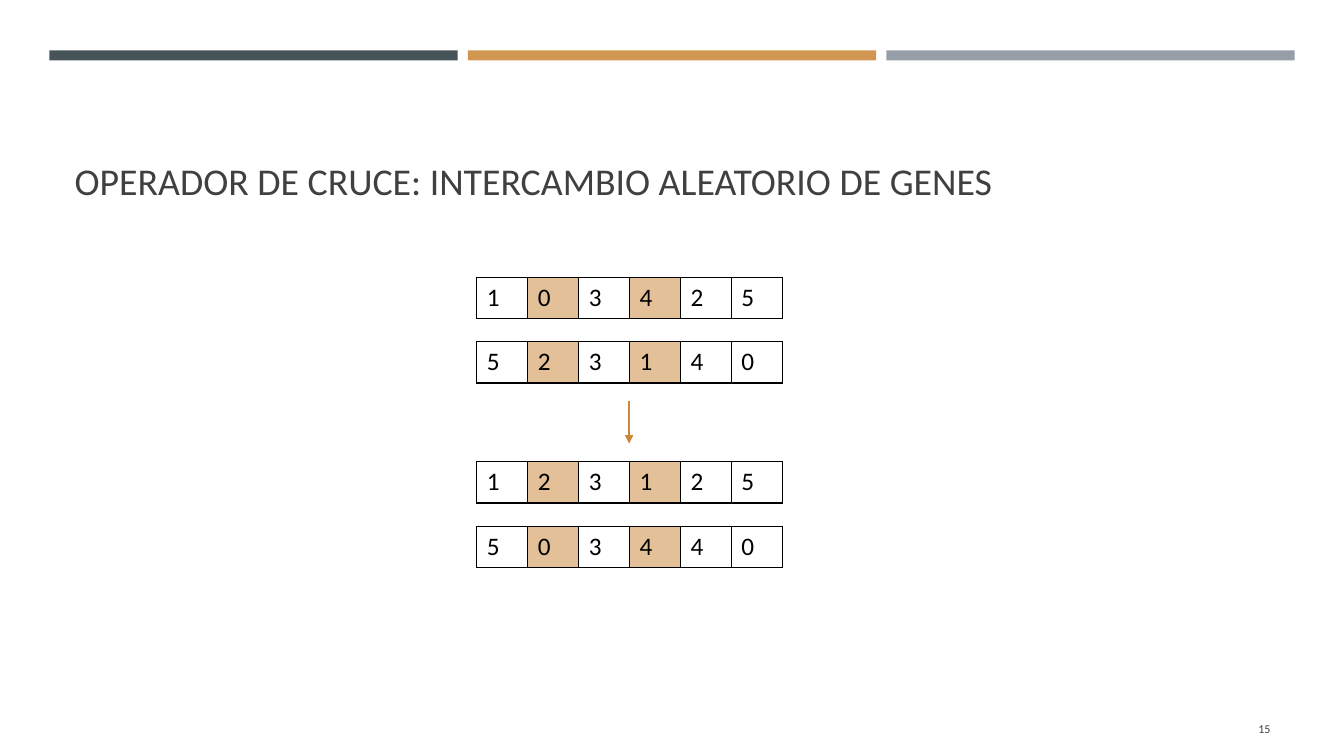
from lxml import etree
from pptx import Presentation
from pptx import util as u
from pptx.dml.color import RGBColor
from pptx.enum import shapes, text
from pptx.oxml import ns

HUES = {"slate": "465359", "amber": "D19651", "grey": "969FA7", "ink": "404040",
        "black": "000000", "gene": "E3C097", "arrow": "CB883A"}
FONT = "Calibri"


class Deck:
    """Holds the style and the current slide, and draws each kind of element."""

    def __init__(self):
        self.show = Presentation()
        self.show.slide_width = u.Inches(13.33)
        self.show.slide_height = u.Inches(7.5)
        self.slide = self.show.slides.add_slide(self.show.slide_layouts[5])

    def hue(self, name):
        return RGBColor.from_string(HUES[name])

    def box(self, *sides):
        return [u.Inches(side) for side in sides]

    def label(self, frame, words, size, hue, align, anchor):
        frame.word_wrap = True
        frame.auto_size = text.MSO_AUTO_SIZE.NONE
        frame.vertical_anchor = anchor
        line = frame.paragraphs[0]
        line.alignment = align
        self.style(line, words, size, hue)
        return line

    def style(self, line, words, size, hue):
        line.text = words
        line.font.name = FONT
        line.font.size = u.Pt(size)
        line.font.color.rgb = self.hue(hue)

    def bar(self, left, hue):
        bar = self.slide.shapes.add_shape(
            shapes.MSO_SHAPE.RECTANGLE, *self.box(left, 0.5, 4.05, 0.1))
        bar.shadow.inherit = False
        bar.fill.solid()
        bar.fill.fore_color.rgb = self.hue(hue)
        bar.line.fill.background()

    def title(self, words):
        title = self.slide.shapes.title
        title.left, title.top, title.width, title.height = self.box(0.64, 0.77, 12.06, 1.3)
        line = self.label(title.text_frame, words, 27, "ink",
                          text.PP_ALIGN.LEFT, text.MSO_ANCHOR.BOTTOM)
        line.line_spacing = 0.9

    def number(self, words):
        note = self.slide.shapes.add_textbox(*self.box(11.55, 7.03, 1.15, 0.4))
        self.label(note.text_frame, words, 8.5, "ink",
                   text.PP_ALIGN.RIGHT, text.MSO_ANCHOR.MIDDLE)

    def border(self, cell):
        props = cell._tc.get_or_add_tcPr()
        for side in ("L", "R", "T", "B"):
            edge = etree.SubElement(props, ns.qn("a:ln" + side), w=str(u.Pt(1)))
            fill = etree.SubElement(edge, ns.qn("a:solidFill"))
            etree.SubElement(fill, ns.qn("a:srgbClr"), val=HUES["black"])

    def genes(self, top, codes, picks):
        table = self.slide.shapes.add_table(
            1, len(codes), *self.box(4.73, top, 3.03, 0.41)).table
        table.first_row = table.horz_banding = False
        for spot, code in enumerate(codes):
            cell = table.cell(0, spot)
            self.border(cell)
            if spot in picks:
                cell.fill.solid()
                cell.fill.fore_color.rgb = self.hue("gene")
            else:
                cell.fill.background()
            self.style(cell.text_frame.paragraphs[0], code, 18, "black")

    def arrow(self, left, top, end):
        link = self.slide.shapes.add_connector(
            shapes.MSO_CONNECTOR.STRAIGHT, *self.box(left, top, left, end))
        link.line.color.rgb = self.hue("arrow")
        link.line.width = u.Pt(1)
        props = link._element.spPr
        etree.SubElement(props.find(ns.qn("a:ln")), ns.qn("a:tailEnd"), type="triangle")
        etree.SubElement(props, ns.qn("a:effectLst"))


def swap(base, other, picks):
    return "".join(other[spot] if spot in picks else code
                   for spot, code in enumerate(base))


def main():
    deck = Deck()
    for step, hue in enumerate(("slate", "amber", "grey")):
        deck.bar(0.49 + 4.15 * step, hue)
    deck.title("OPERADOR DE CRUCE: INTERCAMBIO ALEATORIO DE GENES")
    picks = (1, 3)
    first, second = "103425", "523140"
    rows = (first, second, swap(first, second, picks), swap(second, first, picks))
    for top, codes in zip((2.75, 3.39, 4.58, 5.22), rows):
        deck.genes(top, codes, picks)
    deck.arrow(6.24, 3.98, 4.4)
    deck.number("15")
    deck.show.save("out.pptx")


if __name__ == "__main__":
    main()
